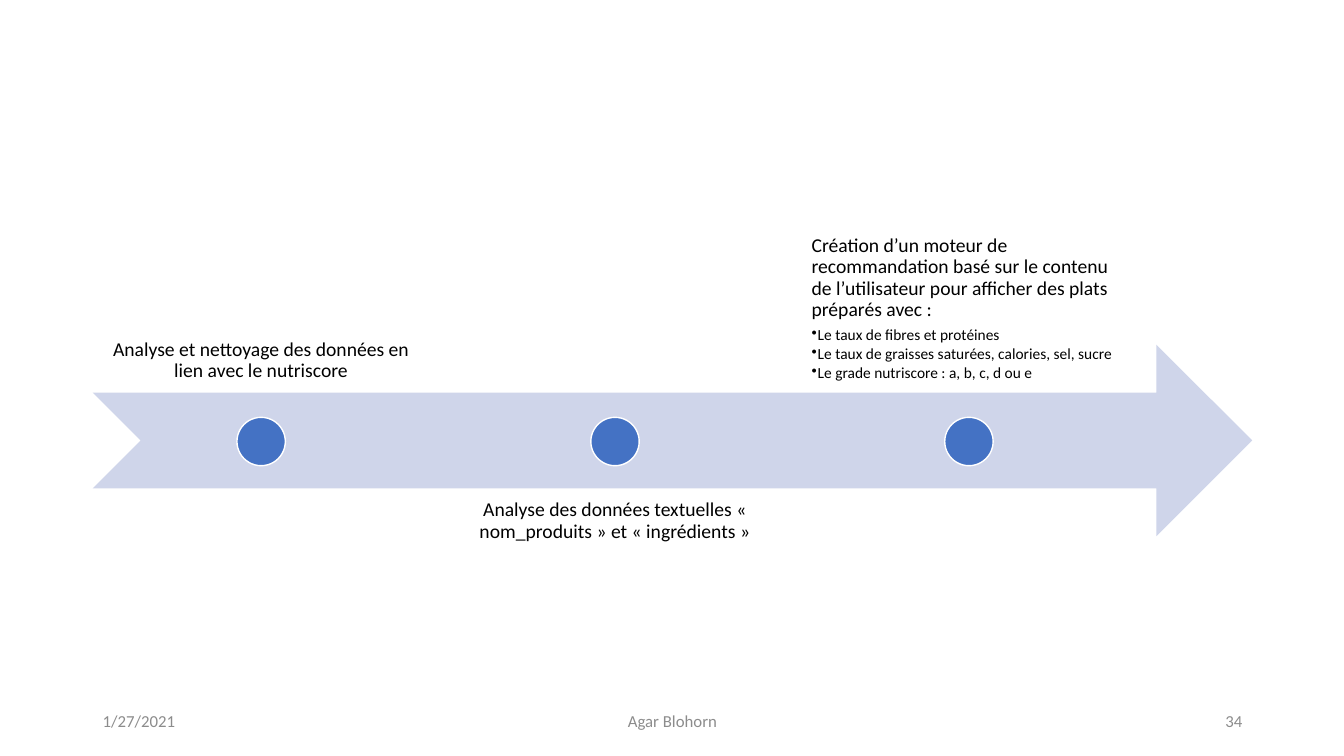
from lxml import etree
from pptx import Presentation
from pptx import util as u
from pptx.dml.color import RGBColor
from pptx.enum import shapes, text
from pptx.oxml import ns

PX = 9144
FONT = "Calibri"
BLACK = RGBColor(0x00, 0x00, 0x00)
WHITE = RGBColor(0xFF, 0xFF, 0xFF)
GREY = RGBColor(0x8C, 0x8C, 0x8C)
BLUE = RGBColor(0x44, 0x72, 0xC4)
PALE_BLUE = RGBColor(0xCF, 0xD5, 0xEA)

LEFT, CENTER, RIGHT = text.PP_ALIGN.LEFT, text.PP_ALIGN.CENTER, text.PP_ALIGN.RIGHT
TOP, MIDDLE, BOTTOM = text.MSO_ANCHOR.TOP, text.MSO_ANCHOR.MIDDLE, text.MSO_ANCHOR.BOTTOM

STEP_LEFT, STEP_PITCH, STEP_WIDTH, STEP_HEIGHT = 92, 351, 334, 190
ABOVE, BELOW = 200, 485
DOT_TOP, DOT_SIZE = 414, 48

STEPS = [
    ("Analyse et nettoyage des données en lien avec le nutriscore", [], ABOVE, BOTTOM),
    ("Analyse des données textuelles « nom_produits » et « ingrédients »", [], BELOW, TOP),
    ("Création d’un moteur de recommandation basé sur le contenu de l’utilisateur "
     "pour afficher des plats préparés avec :",
     ["Le taux de fibres et protéines",
      "Le taux de graisses saturées, calories, sel, sucre",
      "Le grade nutriscore : a, b, c, d ou e"], ABOVE, BOTTOM),
]
FOOTERS = [
    ("1/27/2021", 92, 300, LEFT),
    ("Agar Blohorn", 442, 450, CENTER),
    ("34", 942, 300, RIGHT),
]


def place(*lengths):
    return [u.Emu(length * PX) for length in lengths]


def add_figure(page, kind, bounds, fill, outline=None):
    figure = page.shapes.add_shape(kind, *place(*bounds))
    figure.shadow.inherit = False
    figure.fill.solid()
    figure.fill.fore_color.rgb = fill
    if outline is None:
        figure.line.fill.background()
    else:
        figure.line.color.rgb = outline
        figure.line.width = u.Pt(1)


def add_box(page, bounds, anchor):
    frame = page.shapes.add_textbox(*place(*bounds)).text_frame
    frame.word_wrap = True
    frame.vertical_anchor = anchor
    return frame


def write(para, words, size, color, align):
    para.alignment = align
    span = para.add_run()
    span.text = words
    span.font.name = FONT
    span.font.size = u.Pt(size)
    span.font.color.rgb = color


def set_spacing(para, after):
    para.line_spacing = 0.9
    para.space_after = u.Pt(after)


def set_bullet(para):
    props = para._p.get_or_add_pPr()
    indent = 6 * PX
    props.set("marL", str(indent))
    props.set("indent", str(-indent))
    etree.SubElement(props, ns.qn("a:buChar")).set("char", "•")


def add_step(page, index, title, details, top, anchor):
    left = STEP_LEFT + index * STEP_PITCH
    frame = add_box(page, (left, top, STEP_WIDTH, STEP_HEIGHT), anchor)
    frame.margin_left, frame.margin_top, frame.margin_right, frame.margin_bottom = place(11, 11, 11, 11)
    para = frame.paragraphs[0]
    write(para, title, 14, BLACK, LEFT if details else CENTER)
    set_spacing(para, 5)
    for detail in details:
        para = frame.add_paragraph()
        write(para, detail, 11, BLACK, LEFT)
        set_spacing(para, 1.65)
        set_bullet(para)
    dot_left = left + (STEP_WIDTH - DOT_SIZE) // 2
    add_figure(page, shapes.MSO_SHAPE.OVAL, (dot_left, DOT_TOP, DOT_SIZE, DOT_SIZE), BLUE, WHITE)


def add_footer(page, words, left, width, align):
    frame = add_box(page, (left, 695, width, 40), MIDDLE)
    write(frame.paragraphs[0], words, 12, GREY, align)


def main():
    deck = Presentation()
    deck.slide_width, deck.slide_height = place(1333, 750)
    page = deck.slides.add_slide(deck.slide_layouts[6])
    add_figure(page, shapes.MSO_SHAPE.NOTCHED_RIGHT_ARROW, (92, 342, 1150, 190), PALE_BLUE)
    for index, step in enumerate(STEPS):
        add_step(page, index, *step)
    for footer in FOOTERS:
        add_footer(page, *footer)
    deck.save("out.pptx")


if __name__ == "__main__":
    main()
